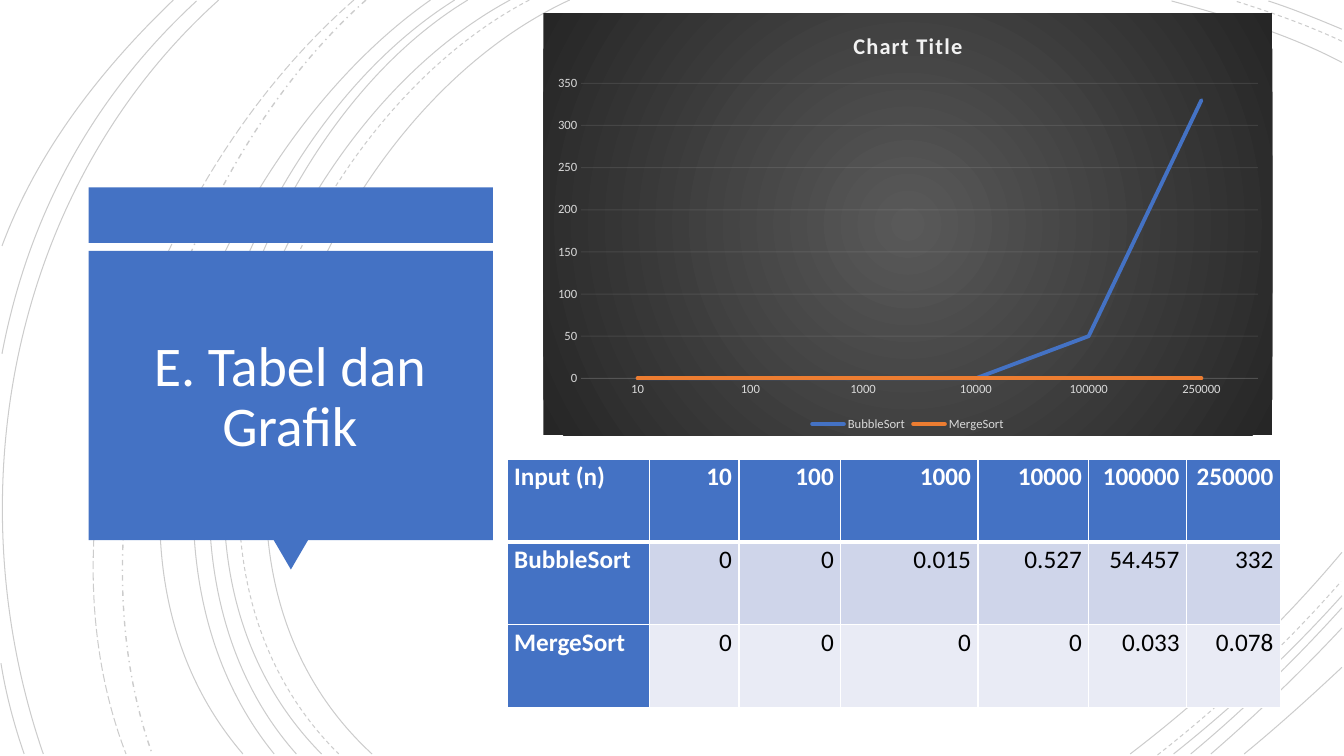
from lxml import etree
from pptx import Presentation
from pptx.chart.data import CategoryChartData
from pptx.dml.color import RGBColor
from pptx.enum.chart import XL_CHART_TYPE, XL_LEGEND_POSITION, XL_TICK_MARK
from pptx.enum.dml import MSO_LINE
from pptx.enum.shapes import MSO_SHAPE
from pptx.enum.text import MSO_ANCHOR, PP_ALIGN
from pptx.oxml import parse_xml
from pptx.oxml.ns import nsdecls, qn
from pptx.util import Inches, Pt

SOLID, DASH, DASH_DOT, LONG_DASH = (
    MSO_LINE.SOLID, MSO_LINE.DASH, MSO_LINE.DASH_DOT, MSO_LINE.LONG_DASH)
RECTANGLE, TRIANGLE = MSO_SHAPE.RECTANGLE, MSO_SHAPE.ISOSCELES_TRIANGLE
LEFT, CENTER, RIGHT = PP_ALIGN.LEFT, PP_ALIGN.CENTER, PP_ALIGN.RIGHT
MIDDLE = MSO_ANCHOR.MIDDLE
LINE_CHART = XL_CHART_TYPE.LINE
BOTTOM = XL_LEGEND_POSITION.BOTTOM
NO_TICK = XL_TICK_MARK.NONE

FONT = "Calibri"
BLACK = RGBColor(0, 0, 0)
WHITE = RGBColor(255, 255, 255)
BLUE = RGBColor(0x44, 0x72, 0xC4)
ORANGE = RGBColor(0xED, 0x7D, 0x31)
BAND_DARK = RGBColor(0xCF, 0xD5, 0xEA)
BAND_LIGHT = RGBColor(0xE9, 0xEB, 0xF5)
PALE = RGBColor(0xF2, 0xF2, 0xF2)
LABEL_GREY = RGBColor(0xD9, 0xD9, 0xD9)
CHART_CENTER = RGBColor(0x59, 0x59, 0x59)
CHART_EDGE = RGBColor(0x26, 0x26, 0x26)

SIZES = ["10", "100", "1000", "10000", "100000", "250000"]
TIMINGS = {
    "BubbleSort": ["0", "0", "0.015", "0.527", "54.457", "332"],
    "MergeSort": ["0", "0", "0", "0", "0.033", "0.078"],
}
PLOTTED = {
    "BubbleSort": [0, 0, 0, 0, 50, 330],
    "MergeSort": [0, 0, 0, 0, 0, 0],
}
COLUMN_WIDTHS = [1.41, 0.89, 1.01, 1.36, 1.1, 0.97, 0.93]
ROW_HEIGHT = 0.82

ARCS = [
    ([(5.65, 0), (3.15, 1.15), (1.43, 5.4), (3.69, 7.48)], SOLID),
    ([(13.31, 0.62), (12.78, 0.34), (12.18, 0.16), (11.62, 0.01)], SOLID),
    ([(11.21, 7.48), (11.97, 6.9), (12.69, 6.22), (13.31, 5.48)], SOLID),
    ([(5.25, 0), (2.85, 1.25), (1.23, 5.37), (3.36, 7.48)], DASH),
    ([(13.31, 0.41), (12.97, 0.25), (12.6, 0.12), (12.25, 0.01)], DASH),
    ([(11.48, 7.49), (12.13, 6.98), (12.75, 6.4), (13.3, 5.77)], DASH),
    ([(5.06, 0), (2.7, 1.27), (1.1, 5.37), (3.19, 7.48)], SOLID),
    ([(13.31, 0.29), (13.07, 0.19), (12.83, 0.09), (12.58, 0.01)], SOLID),
    ([(11.64, 7.48), (12.23, 7.01), (12.8, 6.48), (13.31, 5.91)], SOLID),
    ([(4.64, 0), (2.44, 1.33), (1.1, 5.41), (2.94, 7.48)], SOLID),
    ([(11.81, 7.48), (12.34, 7.04), (12.84, 6.55), (13.31, 6.03)], SOLID),
    ([(4.51, 0), (2.31, 1.38), (0.97, 5.33), (2.72, 7.48)], SOLID),
    ([(12.01, 7.48), (12.46, 7.09), (12.9, 6.67), (13.31, 6.23)], SOLID),
    ([(4.27, 0), (2.17, 1.47), (0.53, 5.29), (2.41, 7.48)], SOLID),
    ([(12.34, 7.48), (12.67, 7.21), (12.99, 6.92), (13.31, 6.62)], SOLID),
    ([(3.63, 0), (1.76, 1.66), (0.65, 5.09), (1.51, 7.48)], DASH_DOT),
    ([(3.51, 0), (1.57, 1.69), (0.29, 4.99), (1.25, 7.48)], LONG_DASH),
    ([(2.17, 0), (0.11, 1.85), (-0.46, 4.9), (0.43, 7.48)], SOLID),
    ([(1.95, 0.01), (0.92, 0.96), (0.28, 2.14), (0.02, 3.51)], SOLID),
    ([(0.01, 6.58), (0.06, 6.89), (0.14, 7.19), (0.24, 7.48)], SOLID),
    ([(1.72, 0), (1, 0.69), (0.37, 1.5), (0.02, 2.44)], SOLID),
]


def style_font(font, size, color, bold=False):
    font.name = FONT
    font.size = Pt(size)
    font.bold = bold
    font.color.rgb = color


def style_line(line, color, width, dash=SOLID, opacity=100):
    line.color.rgb = color
    line.width = Pt(width)
    line.dash_style = dash
    if opacity < 100:
        tint = line._get_or_add_ln().find(".//" + qn("a:srgbClr"))
        etree.SubElement(tint, qn("a:alpha"), val=str(opacity * 1000))


def bend_segments(shape):
    segments = list(shape._element.iter(qn("a:lnTo")))
    curve = etree.Element(qn("a:cubicBezTo"))
    segments[0].addprevious(curve)
    for segment in segments:
        curve.append(segment[0])
        segment.getparent().remove(segment)


def add_arc(slide, controls, dash):
    points = [(Inches(x), Inches(y)) for x, y in controls]
    outline = slide.shapes.build_freeform(*points[0])
    outline.add_line_segments(points[1:], close=False)
    arc = outline.convert_to_shape()
    bend_segments(arc)
    arc.shadow.inherit = False
    arc.fill.background()
    style_line(arc.line, BLACK, 1 if dash == DASH_DOT else 0.75, dash, 20)


def add_block(slide, kind, box, rotation=0):
    block = slide.shapes.add_shape(kind, *map(Inches, box))
    block.rotation = rotation
    block.shadow.inherit = False
    block.fill.solid()
    block.fill.fore_color.rgb = BLUE
    block.line.fill.background()


def add_text(paragraph, text, size, color, align, spacing, bold=False):
    paragraph.alignment = align
    paragraph.line_spacing = spacing
    run = paragraph.add_run()
    run.text = text
    style_font(run.font, size, color, bold)


def add_heading(slide, text):
    frame = slide.shapes.add_textbox(*map(Inches, (0.99, 2.64, 3.77, 2.62))).text_frame
    frame.word_wrap = True
    frame.vertical_anchor = MIDDLE
    add_text(frame.paragraphs[0], text, 40, WHITE, CENTER, 0.9)


def set_borders(cell, bottom_width, top_width):
    properties = cell._tc.get_or_add_tcPr()
    for side, width in (("L", 1), ("R", 1), ("T", top_width), ("B", bottom_width)):
        properties.append(parse_xml(
            f'<a:ln{side} {nsdecls("a")} w="{Pt(width)}"><a:solidFill>'
            f'<a:srgbClr val="{WHITE}"/></a:solidFill></a:ln{side}>'))


def add_timing_table(slide):
    rows = [["Input (n)"] + SIZES] + [[name] + times for name, times in TIMINGS.items()]
    table = slide.shapes.add_table(
        len(rows), len(COLUMN_WIDTHS), Inches(5.03), Inches(4.56),
        Inches(sum(COLUMN_WIDTHS)), Inches(ROW_HEIGHT * len(rows))).table
    for column, width in zip(table.columns, COLUMN_WIDTHS):
        column.width = Inches(width)
    bands = (BLUE, BAND_DARK, BAND_LIGHT)
    for r, (values, band) in enumerate(zip(rows, bands)):
        table.rows[r].height = Inches(ROW_HEIGHT)
        for c, value in enumerate(values):
            cell = table.cell(r, c)
            heading = r == 0 or c == 0
            cell.margin_left = cell.margin_right = Inches(0.07)
            cell.margin_top = cell.margin_bottom = 0
            set_borders(cell, 3 if r == 0 else 1, 3 if r == 1 else 1)
            cell.fill.solid()
            cell.fill.fore_color.rgb = BLUE if heading else band
            add_text(cell.text_frame.paragraphs[0], value, 18,
                     WHITE if heading else BLACK, RIGHT if c else LEFT, 1.07, heading)


def fill_chart_radially(chart):
    background = parse_xml(
        f'<c:spPr {nsdecls("c", "a")}><a:gradFill><a:gsLst>'
        f'<a:gs pos="0"><a:srgbClr val="{CHART_CENTER}"/></a:gs>'
        f'<a:gs pos="100000"><a:srgbClr val="{CHART_EDGE}"/></a:gs></a:gsLst>'
        '<a:path path="circle"><a:fillToRect l="50000" t="50000" r="50000" b="50000"/>'
        '</a:path></a:gradFill><a:ln><a:noFill/></a:ln></c:spPr>')
    chart._chartSpace.find(qn("c:chart")).addnext(background)


def add_timing_chart(slide):
    timing_data = CategoryChartData()
    timing_data.categories = SIZES
    for name, times in PLOTTED.items():
        timing_data.add_series(name, times)
    chart = slide.shapes.add_chart(
        LINE_CHART, *map(Inches, (5.39, 0.13, 7.23, 4.19)), timing_data).chart
    style_font(chart.font, 10, BLACK)
    fill_chart_radially(chart)
    chart.has_title = True
    title = chart.chart_title.text_frame.paragraphs[0].add_run()
    title.text = "Chart Title"
    style_font(title.font, 16, PALE, True)
    title.font._element.set("spc", "100")
    chart.chart_title.include_in_layout = False
    chart.has_legend = True
    chart.legend.position = BOTTOM
    chart.legend.include_in_layout = False
    style_font(chart.legend.font, 9, LABEL_GREY)
    for axis in (chart.category_axis, chart.value_axis):
        axis.major_tick_mark = axis.minor_tick_mark = NO_TICK
        style_font(axis.tick_labels.font, 9, LABEL_GREY)
    style_line(chart.category_axis.format.line, PALE, 0.75, opacity=10)
    chart.value_axis.format.line.fill.background()
    style_line(chart.value_axis.major_gridlines.format.line, PALE, 0.75, opacity=10)
    chart.plots[0].vary_by_categories = False
    for series, color in zip(chart.plots[0].series, (BLUE, ORANGE)):
        series.smooth = False
        style_line(series.format.line, color, 2.75)
        series.format.line._get_or_add_ln().set("cap", "rnd")


def main():
    deck = Presentation()
    deck.slide_width, deck.slide_height = Inches(13.33), Inches(7.5)
    slide = deck.slides.add_slide(deck.slide_layouts[6])
    for controls, dash in ARCS:
        add_arc(slide, controls, dash)
    add_block(slide, RECTANGLE, (0.88, 1.86, 4.01, 0.55))
    add_block(slide, TRIANGLE, (2.71, 5.35, 0.35, 0.3), 180)
    add_block(slide, RECTANGLE, (0.88, 2.49, 4.01, 2.87))
    add_heading(slide, "E. Tabel dan Grafik")
    add_timing_table(slide)
    add_timing_chart(slide)
    deck.save("out.pptx")


main()
